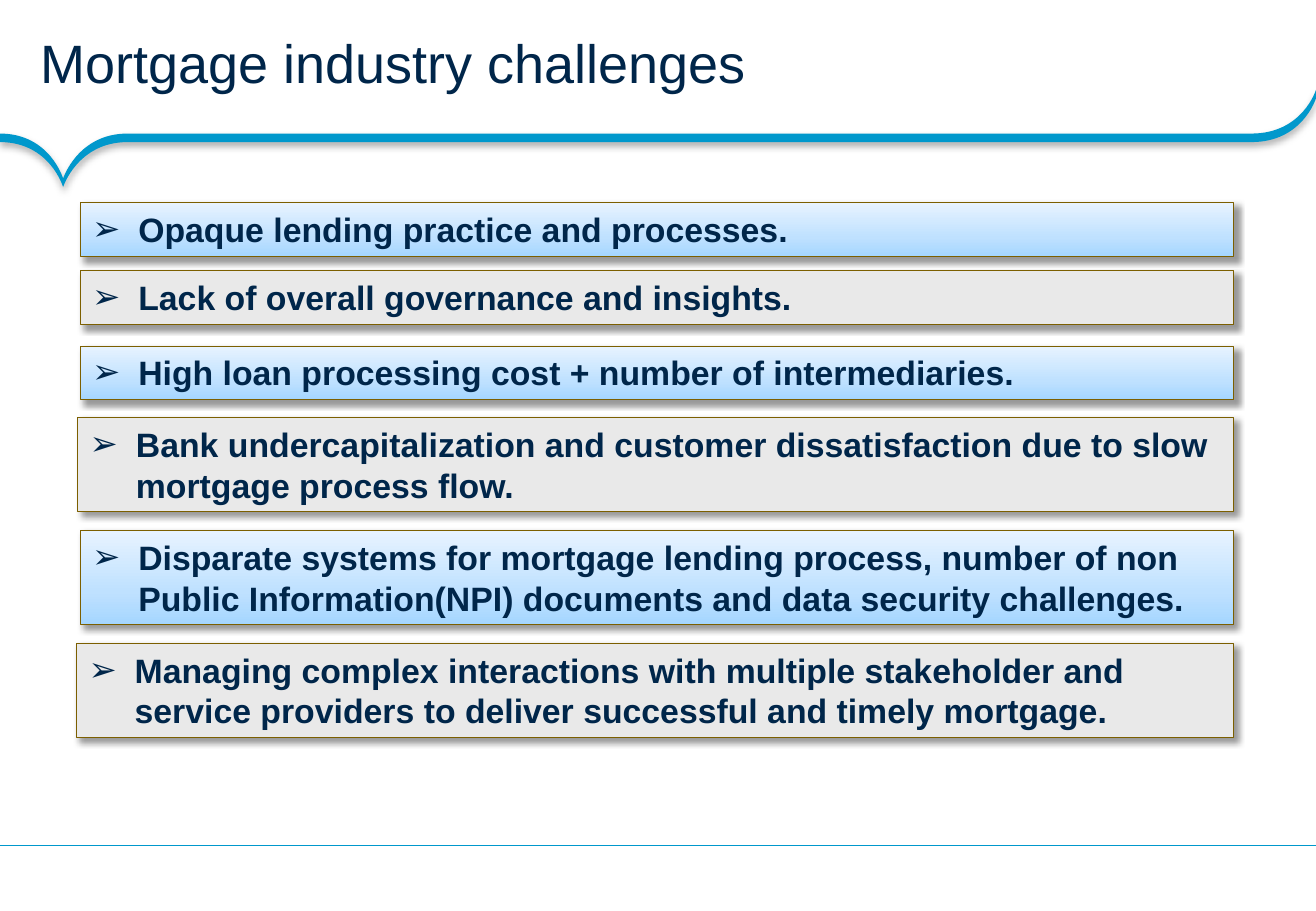
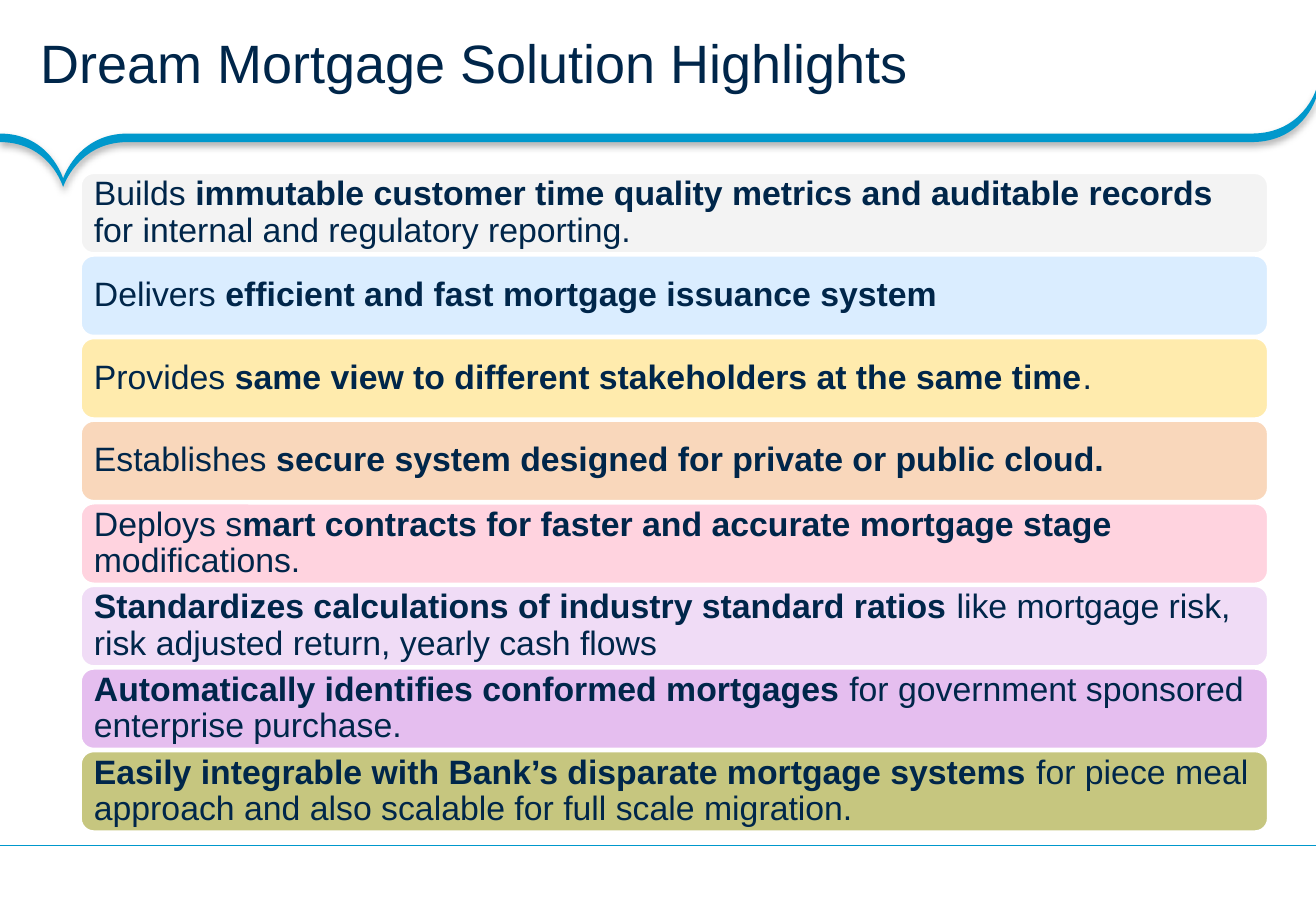
from lxml.etree import SubElement
from pptx import Presentation
from pptx.dml.color import RGBColor
from pptx.enum.shapes import MSO_CONNECTOR, MSO_SHAPE
from pptx.enum.text import MSO_ANCHOR, MSO_AUTO_SIZE, PP_ALIGN
from pptx.oxml import parse_xml
from pptx.oxml.ns import nsdecls, qn
from pptx.util import Inches, Pt

NAVY, BLUE, GREY, BROWN, WHITE = "00264A", "0098CC", "E9E9E9", "7C5F00", "FFFFFF"
FONT = "Arial"


def rgb(value):
    return RGBColor.from_string(value)


def add_shadow(shape, opacity, distance, angle):
    shape.shadow.inherit = False
    effects = shape.element.spPr.find(qn("a:effectLst"))
    effects.append(parse_xml(
        f'<a:outerShdw {nsdecls("a")} blurRad="{Pt(4)}" dist="{Pt(distance)}" '
        f'dir="{angle * 60000}" rotWithShape="0"><a:srgbClr val="000000">'
        f'<a:alpha val="{opacity * 1000}"/></a:srgbClr></a:outerShdw>'))


prs = Presentation()
prs.slide_width, prs.slide_height = Inches(10.83), Inches(7.5)
layout = prs.slide_layouts[5]

# The layout keeps only its title: no date, footer or page number
for placeholder in list(layout.placeholders)[1:]:
    layout.shapes.element.remove(placeholder.element)

# Titles
slides = []
for heading in ("Mortgage industry challenges", "Dream Mortgage Solution Highlights"):
    slide = prs.slides.add_slide(layout)
    slides.append(slide)
    title = slide.shapes.title
    title.left, title.top = 0, 0
    title.width, title.height = prs.slide_width, Inches(1.1)
    frame = title.text_frame
    frame.text = heading
    frame.auto_size = MSO_AUTO_SIZE.NONE
    frame.vertical_anchor = MSO_ANCHOR.MIDDLE
    frame.margin_left, frame.margin_right = Inches(0.33), Inches(0.18)
    frame.margin_top = frame.margin_bottom = Inches(0.04)
    line = frame.paragraphs[0]
    line.alignment, line.line_spacing = PP_ALIGN.LEFT, 0.85
    line.font.name, line.font.size = FONT, Pt(32)
    line.font.color.rgb = rgb(NAVY)
challenges, highlights = slides

# Curved band: each segment is two control points and an end point
BAND_TOP = 0.74
segments = [
    ((1.05, 1.1), (1.05, 1.1), (1.05, 1.1)),
    ((0.64, 1.1), (0.52, 1.47), (0.52, 1.47)),
    ((0.52, 1.47), (0.41, 1.1), (0, 1.1)),
    ((0, 1.17), (0, 1.17), (0, 1.17)),
    ((0.41, 1.17), (0.52, 1.54), (0.52, 1.54)),
    ((0.52, 1.54), (0.64, 1.17), (1.05, 1.17)),
    ((10.3, 1.17), (10.3, 1.17), (10.3, 1.17)),
    ((10.72, 1.17), (10.83, 0.81), (10.83, 0.81)),
    ((10.83, BAND_TOP), (10.83, BAND_TOP), (10.83, BAND_TOP)),
    ((10.83, BAND_TOP), (10.72, 1.1), (10.3, 1.1)),
]
builder = challenges.shapes.build_freeform(Inches(10.3), Inches(1.1))
builder.add_line_segments([(Inches(x), Inches(y)) for *_, (x, y) in segments], close=True)
band = builder.convert_to_shape()

# Turn its straight segments into curves
for straight, points in zip(list(band.element.iter(qn("a:lnTo"))), segments):
    curve = parse_xml(f'<a:cubicBezTo {nsdecls("a")}/>')
    for x, y in points:
        point = SubElement(curve, qn("a:pt"))
        point.set("x", str(Inches(x)))
        point.set("y", str(Inches(y) - Inches(BAND_TOP)))
    straight.getparent().replace(straight, curve)
band.fill.solid()
band.fill.fore_color.rgb = rgb(BLUE)
band.line.fill.background()
add_shadow(band, 31, 2, 90)

# Footer rule
rule = challenges.shapes.add_connector(
    MSO_CONNECTOR.STRAIGHT, prs.slide_width, Inches(6.96), 0, Inches(6.96))
rule.line.color.rgb = rgb(BLUE)
rule.line.width = Pt(0.75)
SubElement(rule.element.spPr, qn("a:effectLst"))

# Band and rule belong to the layout, behind its title
for position, part in enumerate((band, rule), start=2):
    layout.shapes.element.insert(position, part.element)

# Challenges: alternating blue and grey boxes with a common right edge
RIGHT_EDGE = 10.15
challenge_rows = [
    (0.66, 1.67, 0.44, "Opaque lending practice and processes."),
    (0.66, 2.23, 0.44, "Lack of overall governance and insights."),
    (0.66, 2.85, 0.44, "High loan processing cost + number of intermediaries."),
    (0.64, 3.44, 0.77, "Bank undercapitalization and customer dissatisfaction due to slow "
                       "mortgage process flow."),
    (0.66, 4.37, 0.77, "Disparate systems for mortgage lending process, number of non "
                       "Public Information(NPI) documents and data security challenges."),
    (0.63, 5.3, 0.77, "Managing complex interactions with multiple stakeholder and "
                      "service providers to deliver successful and timely mortgage."),
]
stops = "".join(f'<a:gs pos="{at * 1000}"><a:srgbClr val="{colour}"/></a:gs>'
                for at, colour in ((0, "A5D6FF"), (35, "BFE1FF"), (100, "E7F3FF")))
for index, (left, top, height, wording) in enumerate(challenge_rows):
    challenge = challenges.shapes.add_shape(
        MSO_SHAPE.RECTANGLE, Inches(left), Inches(top), Inches(RIGHT_EDGE - left), Inches(height))
    if index % 2:
        challenge.fill.solid()
        challenge.fill.fore_color.rgb = rgb(GREY)
    else:
        challenge.element.spPr.insert(2, parse_xml(
            f'<a:gradFill {nsdecls("a")} rotWithShape="1"><a:gsLst>{stops}</a:gsLst>'
            f'<a:lin ang="{270 * 60000}" scaled="0"/></a:gradFill>'))
    challenge.line.color.rgb = rgb(BROWN)
    challenge.line.width = Pt(0.75)
    add_shadow(challenge, 40, 3, 45)
    frame = challenge.text_frame
    frame.text = wording
    frame.word_wrap = True
    frame.auto_size = MSO_AUTO_SIZE.SHAPE_TO_FIT_TEXT
    frame.vertical_anchor = MSO_ANCHOR.TOP
    line = frame.paragraphs[0]
    line.alignment = PP_ALIGN.LEFT
    line.font.name, line.font.size, line.font.bold = FONT, Pt(20), True
    line.font.color.rgb = rgb(NAVY)
    bullet = line._p.get_or_add_pPr()
    bullet.set("marL", str(Inches(0.38)))
    bullet.set("indent", str(-Inches(0.38)))
    SubElement(bullet, qn("a:buFont")).set("typeface", FONT)
    SubElement(bullet, qn("a:buChar")).set("char", "➢")

# Highlights: fill, opacity, and wording whose parts alternate plain | bold
highlight_rows = [
    ("F2F2F2", 90, "Builds| immutable customer time quality metrics and auditable records |"
                   "for internal and regulatory reporting."),
    ("D3EAFF", 84, "Delivers |efficient and fast mortgage issuance system"),
    ("FFE697", 79, "Provides |same view to different stakeholders at the same time|."),
    ("F8C9A3", 73, "Establishes |secure system designed for private or public cloud."),
    ("FFBED0", 67, "Deploys s|mart contracts for faster and accurate mortgage stage| modifications."),
    ("E8C6F1", 61, "|Standardizes calculations of industry standard ratios |"
                   "like mortgage risk, risk adjusted return, yearly cash flows"),
    ("D28CE3", 56, "|Automatically identifies conformed mortgages |"
                   "for government sponsored enterprise purchase."),
    ("8E8E00", 50, "|Easily integrable with Bank’s disparate mortgage systems|"
                   " for piece meal approach and also scalable for full scale migration."),
]
for index, (colour, opacity, wording) in enumerate(highlight_rows):
    highlight = highlights.shapes.add_shape(
        MSO_SHAPE.ROUNDED_RECTANGLE, Inches(0.66), Inches(1.42 + 0.68 * index),
        Inches(9.78), Inches(0.67))
    highlight.shadow.inherit = False
    highlight.fill.solid()
    highlight.fill.fore_color.rgb = rgb(colour)
    tint = highlight.element.spPr.find(qn("a:solidFill")).find(qn("a:srgbClr"))
    SubElement(tint, qn("a:alpha")).set("val", str(opacity * 1000))
    highlight.line.color.rgb = rgb(WHITE)
    highlight.line.width = Pt(2)
    frame = highlight.text_frame
    frame.word_wrap = True
    frame.vertical_anchor = MSO_ANCHOR.MIDDLE
    frame.margin_left = frame.margin_right = Inches(0.08)
    frame.margin_top = frame.margin_bottom = Inches(0.08)
    line = frame.paragraphs[0]
    line.alignment, line.line_spacing = PP_ALIGN.LEFT, 0.9
    line.font.name, line.font.size = FONT, Pt(20)
    line.font.color.rgb = rgb(NAVY)
    for order, words in enumerate(wording.split("|")):
        if words:
            run = line.add_run()
            run.text = words
            run.font.bold = order % 2 == 1

prs.save("out.pptx")
